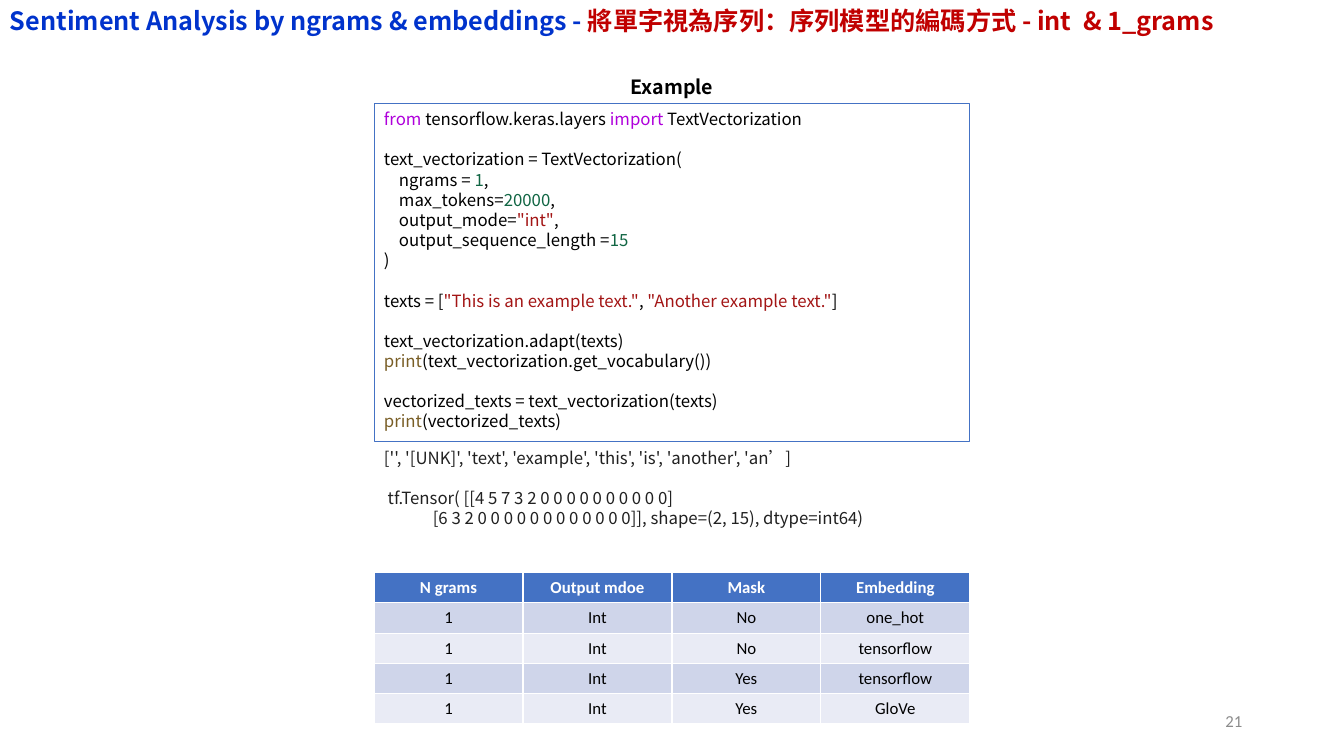
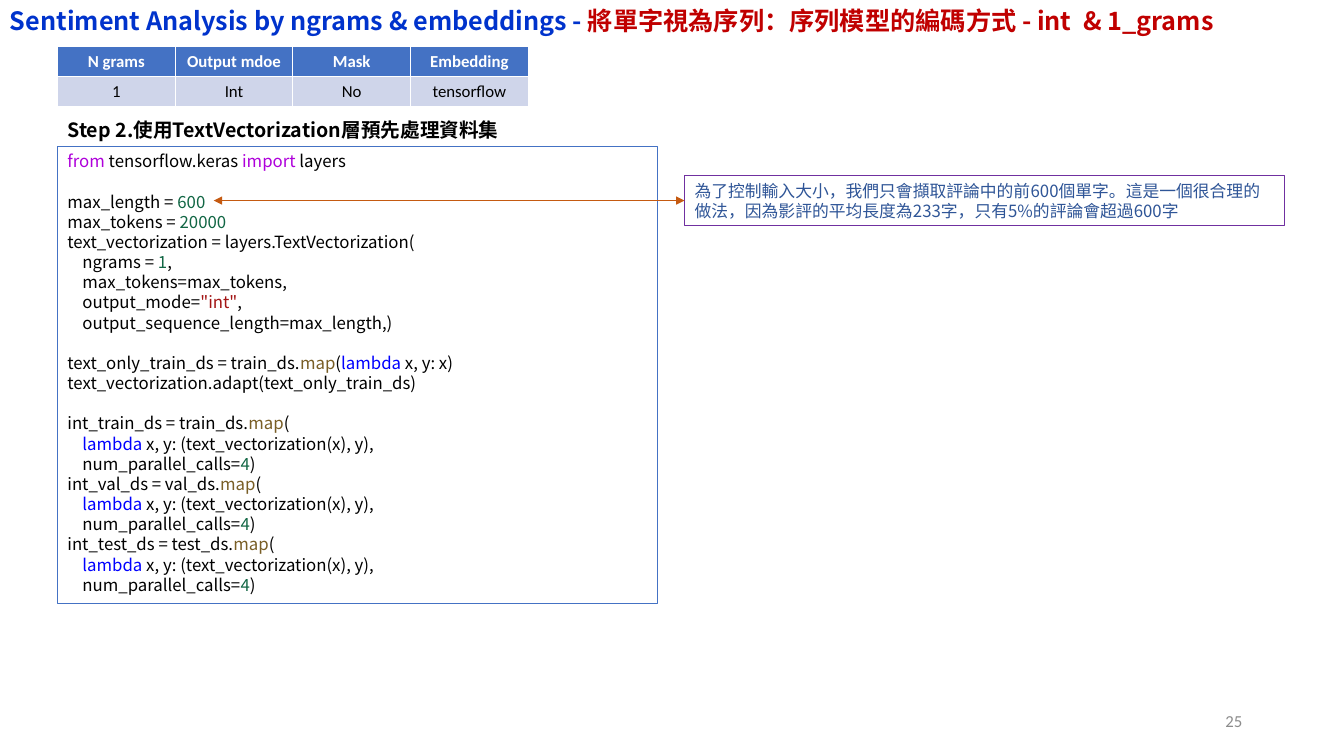
from lxml import etree
from pptx import Presentation
from pptx import util as u
from pptx.dml.color import RGBColor
from pptx.enum import shapes, text
from pptx.oxml import ns

PX = 9144  # 100 px to the inch
CJK_FONT = "Noto Sans CJK SC"
TABLE_FONT = "Calibri"

BLACK = RGBColor(0x00, 0x00, 0x00)
WHITE = RGBColor(0xFF, 0xFF, 0xFF)
GREY = RGBColor(0x8C, 0x8C, 0x8C)
OUTPUT_GREY = RGBColor(0x21, 0x21, 0x21)
TITLE_BLUE = RGBColor(0x00, 0x33, 0xCC)
TITLE_RED = RGBColor(0xC0, 0x00, 0x00)
FRAME_BLUE = RGBColor(0x44, 0x72, 0xC4)
NOTE_PURPLE = RGBColor(0x70, 0x30, 0xA0)
NOTE_BLUE = RGBColor(0x2F, 0x55, 0x97)
ARROW_ORANGE = RGBColor(0xC5, 0x5A, 0x11)
BANDS = (RGBColor(0xCF, 0xD5, 0xEA), RGBColor(0xE9, 0xEB, 0xF5))

STRING_RED = RGBColor(0xA3, 0x15, 0x15)
NUMBER_GREEN = RGBColor(0x11, 0x66, 0x44)
IMPORT_PURPLE = RGBColor(0xAF, 0x00, 0xDB)
CALL_BROWN = RGBColor(0x79, 0x5E, 0x26)
WORD_COLOURS = {
    "from": IMPORT_PURPLE, "import": IMPORT_PURPLE,
    "print": CALL_BROWN, "map": CALL_BROWN,
    "lambda": RGBColor(0x00, 0x00, 0xFF),
}

TITLE = (("Sentiment Analysis by ngrams & embeddings - ", TITLE_BLUE),
         ("將單字視為序列：序列模型的編碼方式 - int  & 1_grams", TITLE_RED))
TABLE_HEADER = ("N grams", "Output mdoe", "Mask", "Embedding")

# In code, every second piece between bars is a coloured token.
EXAMPLE_CODE = """\
|from| tensorflow.keras.layers |import| TextVectorization

text_vectorization = TextVectorization(
    ngrams = |1|,
    max_tokens=|20000|,
    output_mode=|"int"|,
    output_sequence_length =|15|
)

texts = [|"This is an example text."|, |"Another example text."|]

text_vectorization.adapt(texts)
|print|(text_vectorization.get_vocabulary())

vectorized_texts = text_vectorization(texts)
|print|(vectorized_texts)"""

EXAMPLE_OUTPUT = """\
['', '[UNK]', 'text', 'example', 'this', 'is', 'another', 'an’]

 tf.Tensor( [[4 5 7 3 2 0 0 0 0 0 0 0 0 0 0]
             [6 3 2 0 0 0 0 0 0 0 0 0 0 0 0]], shape=(2, 15), dtype=int64)"""

DATASET_CODE = """\
|from| tensorflow.keras |import| layers

max_length = |600|
max_tokens = |20000|
text_vectorization = layers.TextVectorization(
    ngrams = |1|,
    max_tokens=max_tokens,
    output_mode=|"int"|,
    output_sequence_length=max_length,)

text_only_train_ds = train_ds.|map|(|lambda| x, y: x)
text_vectorization.adapt(text_only_train_ds)

""" + "\n".join(f"""\
int_{part}_ds = {part}_ds.|map|(
    |lambda| x, y: (text_vectorization(x), y),
    num_parallel_calls=|4|)""" for part in ("train", "val", "test"))

LENGTH_NOTE = ("為了控制輸入大小，我們只會擷取評論中的前600個單字。這是一個很合理的做法，"
               "因為影評的平均長度為233字，只有5%的評論會超過600字")


def px(*lengths):
    return [u.Emu(length * PX) for length in lengths]


def token_colour(token):
    if token.startswith('"'):
        return STRING_RED
    return NUMBER_GREEN if token.isdigit() else WORD_COLOURS[token]


def style_paragraph(paragraph, size, colour=None, bold=False, font=CJK_FONT):
    paragraph.font.size = u.Pt(size)
    paragraph.font.name = font
    paragraph.font.bold = bold
    if colour is not None:
        paragraph.font.color.rgb = colour
    for properties in paragraph._p.iter(ns.qn("a:defRPr")):
        etree.SubElement(properties, ns.qn("a:ea"), typeface=font)


def add_runs(paragraph, runs):
    for words, colour in runs:
        run = paragraph.add_run()
        run.text = words
        run.font.color.rgb = colour


def prepare_frame(shape, anchor=text.MSO_ANCHOR.TOP):
    frame = shape.text_frame
    frame.word_wrap = True
    frame.vertical_anchor = anchor
    return frame


def add_label(slide, box, words, size, colour, bold=False, font=CJK_FONT,
              align=text.PP_ALIGN.LEFT, anchor=text.MSO_ANCHOR.TOP):
    paragraph = prepare_frame(slide.shapes.add_textbox(*px(*box)), anchor).paragraphs[0]
    paragraph.text = words
    paragraph.alignment = align
    paragraph.line_spacing = u.Pt(size * 1.2)
    style_paragraph(paragraph, size, colour, bold, font)


def fill_lines(frame, listing, colour, size=12):
    """Write one paragraph a line; an empty line becomes space before the next."""
    pitch = u.Pt(size * 1.2)
    gap = 0
    paragraph = frame.paragraphs[0]
    for number, line in enumerate(listing.split("\n")):
        if not line:
            gap = pitch
            continue
        if number:
            paragraph = frame.add_paragraph()
        paragraph.alignment = text.PP_ALIGN.LEFT
        paragraph.line_spacing = pitch
        paragraph.space_before = gap
        gap = 0
        style_paragraph(paragraph, size)
        pieces = enumerate(line.split("|"))
        add_runs(paragraph, [(piece, token_colour(piece) if i % 2 else colour)
                             for i, piece in pieces if piece])


def add_framed_text(slide, box, listing, outline=FRAME_BLUE, colour=BLACK):
    panel = slide.shapes.add_shape(shapes.MSO_SHAPE.RECTANGLE, *px(*box))
    panel.shadow.inherit = False
    panel.fill.background()
    panel.line.color.rgb = outline
    panel.line.width = u.Pt(0.75)
    fill_lines(prepare_frame(panel), listing, colour)
    return panel


def add_settings_table(slide, left, top, width, settings):
    rows = (TABLE_HEADER, *settings)
    row_height = 30
    table = slide.shapes.add_table(
        len(rows), len(TABLE_HEADER),
        *px(left, top, width, row_height * len(rows))).table
    for r, row in enumerate(rows):
        header = r == 0
        for c, value in enumerate(row):
            cell = table.cell(r, c)
            cell.fill.solid()
            cell.fill.fore_color.rgb = FRAME_BLUE if header else BANDS[(r - 1) % 2]
            paragraph = cell.text_frame.paragraphs[0]
            paragraph.text = value
            paragraph.alignment = text.PP_ALIGN.CENTER
            style_paragraph(paragraph, 12, WHITE if header else BLACK, header, TABLE_FONT)


def add_double_arrow(slide, start_x, target):
    """Draw a level two-headed arrow to the middle of the target's left side."""
    y = target.top + target.height // 2
    arrow = slide.shapes.add_connector(
        shapes.MSO_CONNECTOR.STRAIGHT, *px(start_x), y, target.left, y)
    arrow.end_connect(target, 1)
    arrow.line.color.rgb = ARROW_ORANGE
    arrow.line.width = u.Pt(0.5)
    line = arrow.line._get_or_add_ln()
    for end in ("a:headEnd", "a:tailEnd"):
        etree.SubElement(line, ns.qn(end), type="triangle")
    etree.SubElement(arrow._element.spPr, ns.qn("a:effectLst"))


def add_slide(deck, number):
    """Add a blank slide with the shared title and its page number."""
    slide = deck.slides.add_slide(deck.slide_layouts[6])
    title = prepare_frame(slide.shapes.add_textbox(*px(0, 0, 1299, 40))).paragraphs[0]
    title.line_spacing = u.Pt(21.6)
    style_paragraph(title, 18, bold=True)
    add_runs(title, TITLE)
    add_label(slide, (942, 695, 300, 40), str(number), 12, GREY, font=TABLE_FONT,
              align=text.PP_ALIGN.RIGHT, anchor=text.MSO_ANCHOR.MIDDLE)
    return slide


def build_example(deck):
    slide = add_slide(deck, 21)
    left, width = 371, 591
    add_label(slide, (left, 69, width, 34), "Example", 14, BLACK, bold=True,
              align=text.PP_ALIGN.CENTER, anchor=text.MSO_ANCHOR.MIDDLE)
    add_framed_text(slide, (left, 103, width, 335), EXAMPLE_CODE)
    output = slide.shapes.add_textbox(*px(left, 439, width, 111))
    fill_lines(prepare_frame(output), EXAMPLE_OUTPUT, OUTPUT_GREY)
    add_settings_table(slide, left, 568, width, (
        ("1", "Int", "No", "one_hot"),
        ("1", "Int", "No", "tensorflow"),
        ("1", "Int", "Yes", "tensorflow"),
        ("1", "Int", "Yes", "GloVe")))


def build_dataset_step(deck):
    slide = add_slide(deck, 25)
    left, width = 57, 595
    add_settings_table(slide, left, 46, 467, (("1", "Int", "No", "tensorflow"),))
    add_label(slide, (left, 112, width, 34),
              "Step 2.使用TextVectorization層預先處理資料集", 14, BLACK, bold=True)
    add_framed_text(slide, (left, 145, width, 454), DATASET_CODE)
    note = add_framed_text(slide, (679, 174, width, 50), LENGTH_NOTE,
                           NOTE_PURPLE, NOTE_BLUE)
    add_double_arrow(slide, 212, note)


def main():
    deck = Presentation()
    deck.slide_width, deck.slide_height = px(1333, 750)
    build_example(deck)
    build_dataset_step(deck)
    deck.save("out.pptx")


if __name__ == "__main__":
    main()
